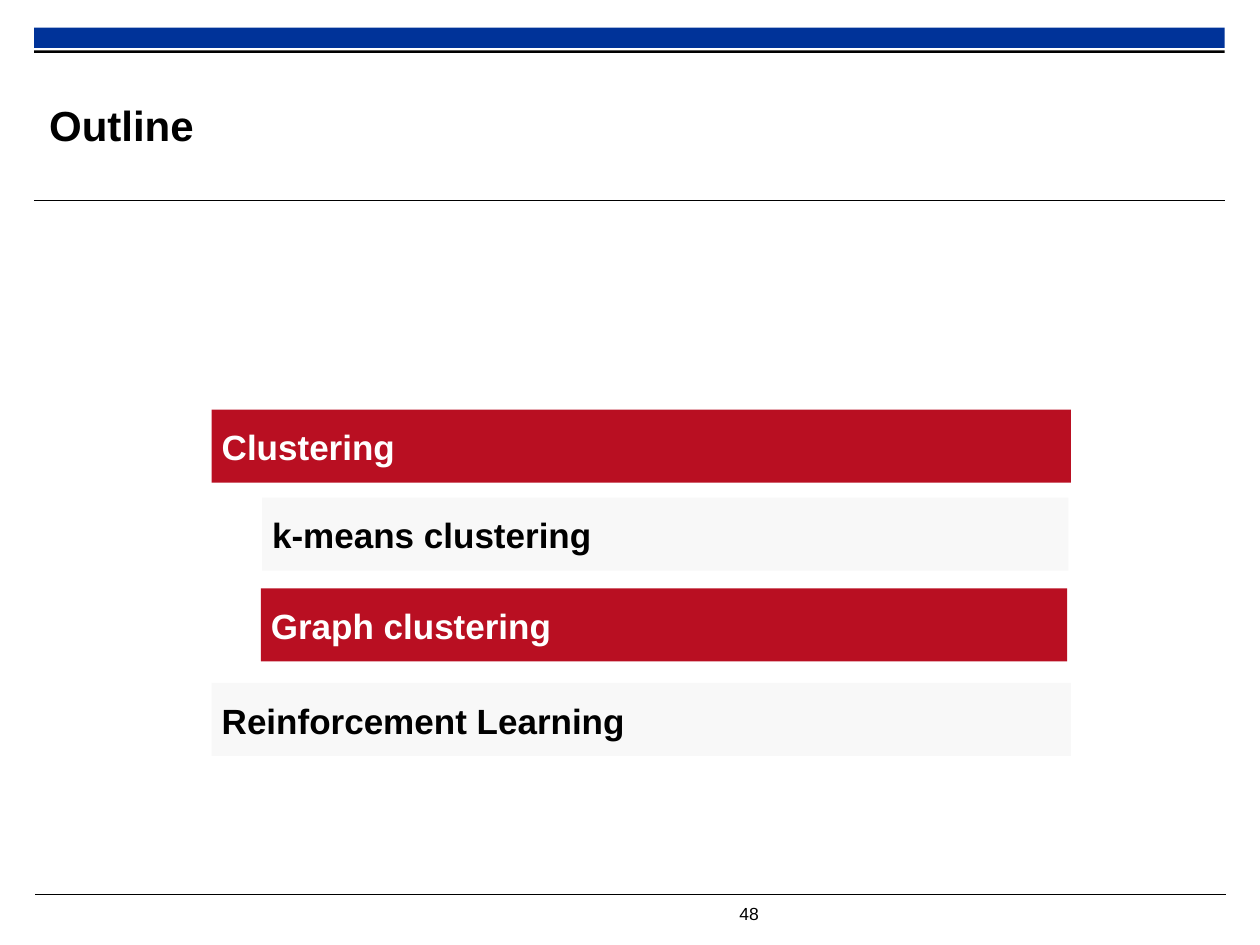
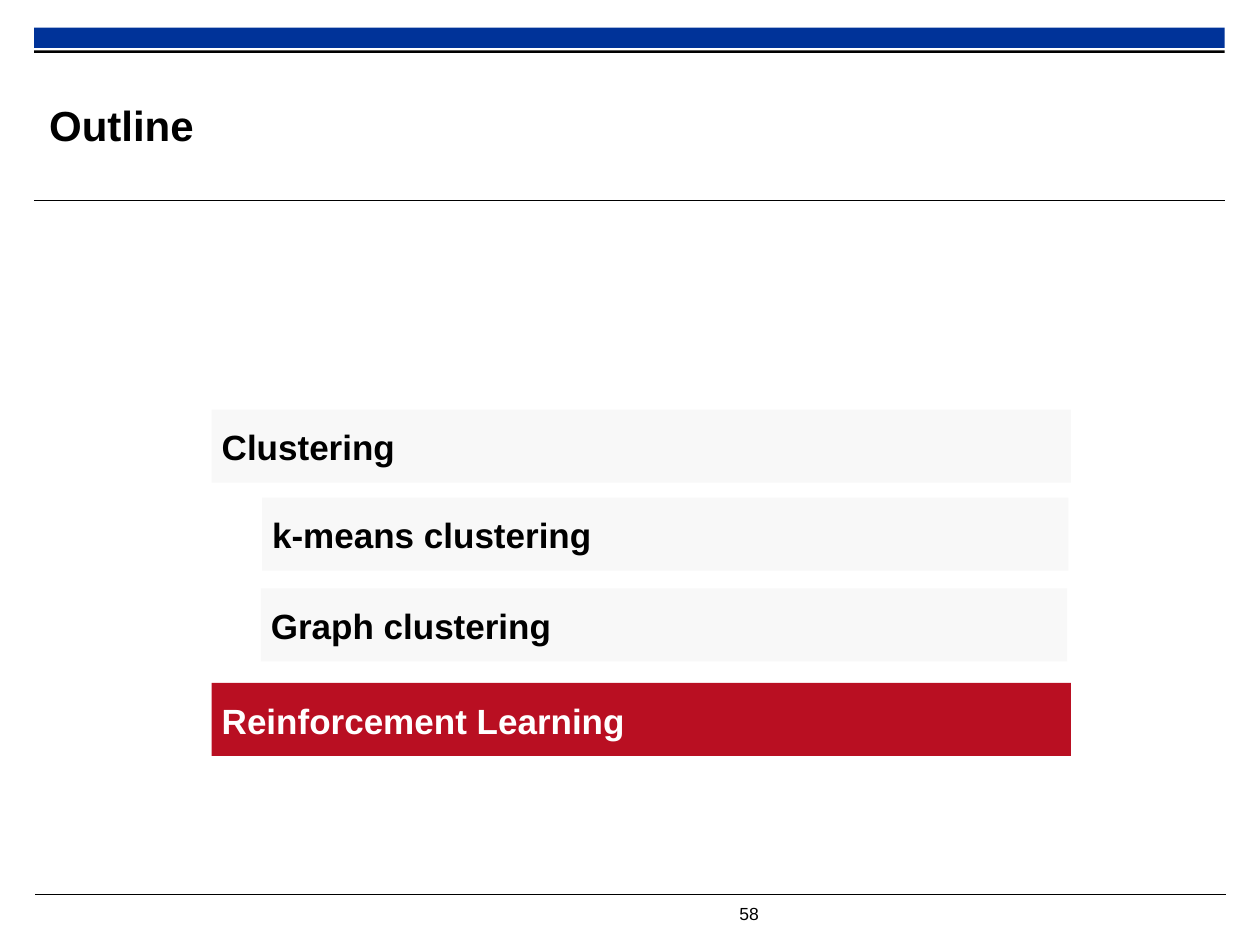
from pptx import Presentation
from pptx.dml.color import RGBColor
from pptx.enum.shapes import MSO_CONNECTOR, MSO_SHAPE
from pptx.enum.text import MSO_ANCHOR as ANCHOR, MSO_AUTO_SIZE as AUTO, PP_ALIGN as ALIGN
from pptx.oxml.ns import qn
from pptx.util import Inches, Pt
from lxml import etree

BLUE = RGBColor(0x00, 0x33, 0x99)
RED = RGBColor(0xB9, 0x0F, 0x22)
PALE = RGBColor(0xF8, 0xF8, 0xF8)
BLACK = RGBColor(0, 0, 0)
WHITE = RGBColor(255, 255, 255)
FONT = "Arial"

MARGIN, BAND_W = 0.27, 9.45
BAR_H = 0.58

# text, left, top, width
TOPICS = [
    ("Clustering", 1.68, 3.25, 6.82),
    ("k-means clustering", 2.08, 3.95, 6.4),
    ("Graph clustering", 2.07, 4.67, 6.4),
    ("Reinforcement Learning", 1.68, 5.42, 6.82),
]
# page number, highlighted topics
PAGES = [
    (48, {"Clustering", "Graph clustering"}),
    (58, {"Reinforcement Learning"}),
]


def add_rect(s, left, top, width, height, color):
    sp = s.shapes.add_shape(MSO_SHAPE.RECTANGLE, Inches(left), Inches(top),
                            Inches(width), Inches(height))
    sp.shadow.inherit = False
    sp.fill.solid()
    sp.fill.fore_color.rgb = color
    sp.line.fill.background()
    return sp


def write(tf, text, size, color, bold=True):
    tf.text = text
    p = tf.paragraphs[0]
    p.alignment = ALIGN.LEFT
    font = p.runs[0].font
    font.name, font.size, font.bold = FONT, Pt(size), bold
    font.color.rgb = color


prs = Presentation()
prs.slide_width, prs.slide_height = Inches(10), Inches(7.5)
title_only = prs.slide_layouts[5]

for number, current in PAGES:
    s = prs.slides.add_slide(title_only)

    # Bands, rules and page number
    add_rect(s, MARGIN, 0.22, BAND_W, 0.16, BLUE)
    add_rect(s, MARGIN, 0.4, BAND_W, 0.02, BLACK)
    for left, y in ((MARGIN, 1.59), (MARGIN + 0.01, 7.1)):
        rule = s.shapes.add_connector(MSO_CONNECTOR.STRAIGHT, Inches(left), Inches(y),
                                      Inches(left + BAND_W), Inches(y))
        rule.line.color.rgb = BLACK
        rule.line.width = Pt(0.6)
        etree.SubElement(rule.element.spPr, qn("a:effectLst"))
    tf = s.shapes.add_textbox(Inches(5.77), Inches(7.12), Inches(0.48), Inches(0.27)).text_frame
    tf.word_wrap = False
    write(tf, str(number), 10, BLACK, bold=False)

    # Title
    title = s.shapes.title
    title.left, title.top = Inches(0.39), Inches(0.53)
    title.width, title.height = Inches(7.11), Inches(0.92)
    tf = title.text_frame
    tf.auto_size = AUTO.NONE
    tf.vertical_anchor = ANCHOR.MIDDLE
    tf.margin_left = tf.margin_right = tf.margin_top = tf.margin_bottom = 0
    write(tf, "Outline", 24, BLACK)

    # Topic bars
    for topic, left, top, width in TOPICS:
        active = topic in current
        bar = add_rect(s, left, top, width, BAR_H, RED if active else PALE)
        tf = bar.text_frame
        tf.word_wrap = True
        tf.vertical_anchor = ANCHOR.MIDDLE
        tf.margin_left = tf.margin_right = tf.margin_bottom = Inches(0.08)
        tf.margin_top = Inches(0.09)
        write(tf, topic, 20, WHITE if active else BLACK)

prs.save("out.pptx")
